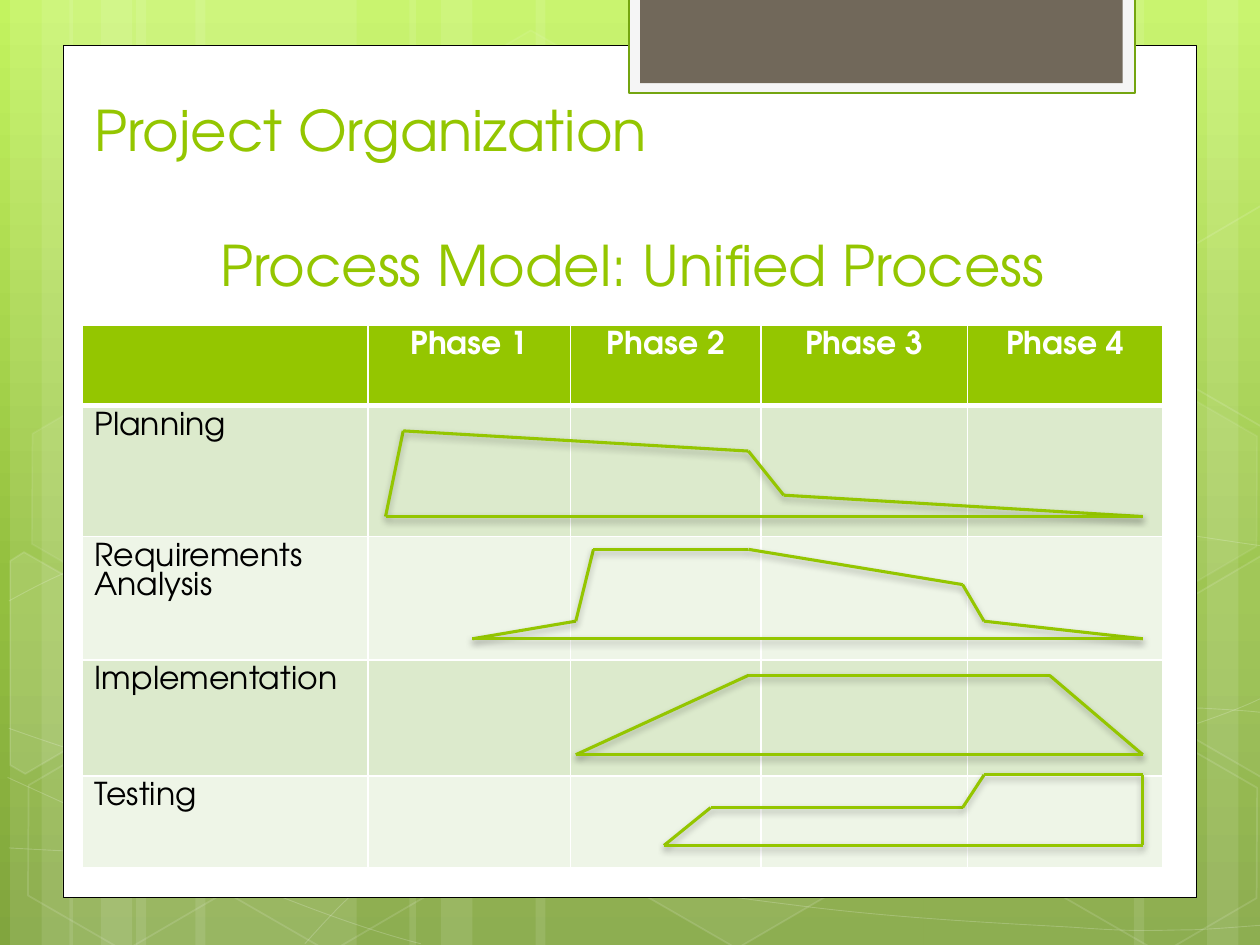
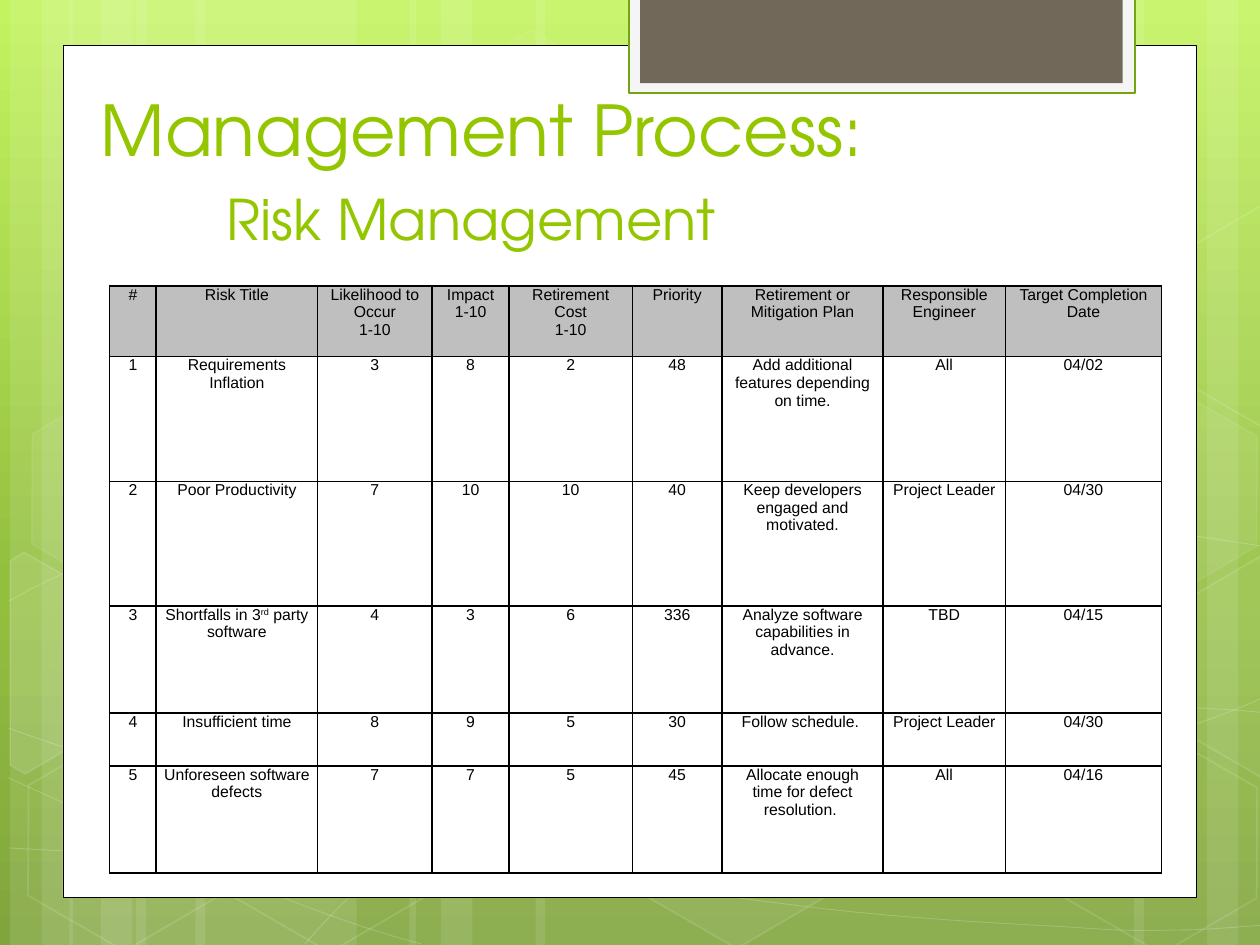
from pptx import Presentation
from pptx import util as u
from pptx.dml.color import RGBColor
from pptx.enum import shapes, text
from pptx.oxml import parse_xml
from pptx.oxml.ns import nsdecls, qn
from copy import deepcopy
from lxml import etree
import math

# Shared look
WHITE = RGBColor(0xFF, 0xFF, 0xFF)
BLACK = RGBColor(0, 0, 0)
LIME = RGBColor(0x94, 0xC6, 0x00)
TAB_EDGE = RGBColor(0x74, 0xA5, 0x10)
TAB_RIM = RGBColor(0xF5, 0xF5, 0xF5)
TAB_FILL = RGBColor(0x71, 0x68, 0x5A)
ROW_DARK = RGBColor(0xDC, 0xEA, 0xCC)
ROW_LIGHT = RGBColor(0xEE, 0xF5, 0xE7)
GREY = RGBColor(0xBF, 0xBF, 0xBF)
SKY = [(0, RGBColor(0xC3, 0xF3, 0x5F)), (0.62, RGBColor(0x93, 0xBF, 0x3F)),
       (1, RGBColor(0x81, 0xA5, 0x3E))]
DISPLAY = "TeX Gyre Adventor"
CENTER = text.PP_ALIGN.CENTER
TILT = 30

# Backdrop: (left, width) of the stripes
STRIPES = [(1.08, 1.75), (0.08, 0.5), (0.33, 0.83), (1.55, 1.75), (0.55, 0.5),
           (0.8, 0.83), (7.33, 1.75), (9.58, 0.5), (9, 0.83), (4.25, 3.08),
           (3.25, 0.5), (3.5, 0.83)]
# Cubic curves: a start, then two handles and an end for each piece
CURVES = [
    [(0.07, 6.73), (0.61, 6.76), (1.15, 6.79), (1.9, 6.78), (2.65, 6.77),
     (3.58, 6.75), (4.58, 6.65), (5.58, 6.55), (7, 6.36), (7.92, 6.17),
     (8.83, 5.98), (9.77, 5.68), (10.07, 5.51)],
    [(0.07, 4.77), (0.36, 4.61), (0.65, 4.46), (1.21, 4.31), (1.78, 4.16),
     (2.59, 3.94), (3.47, 3.87), (4.36, 3.8), (5.44, 3.79), (6.54, 3.87),
     (7.64, 3.95), (9.47, 4.26), (10.07, 4.34)],
    [(0.06, 6.17), (1.27, 6.72), (2.47, 7.27), (3.34, 7.49)],
    [(0.07, 5.78), (0.38, 5.89), (0.7, 6), (1.28, 6.16), (1.86, 6.31),
     (2.73, 6.56), (3.57, 6.73), (4.4, 6.9), (5.45, 7.08), (6.28, 7.18),
     (7.11, 7.29), (8, 7.33), (8.53, 7.36), (9.05, 7.4), (9.19, 7.38),
     (9.45, 7.38), (9.71, 7.37), (9.89, 7.35), (10.07, 7.34)],
    [(2.42, 7.49), (2.6, 7.29), (2.78, 7.09), (3.02, 6.91), (3.26, 6.73),
     (3.6, 6.53), (3.88, 6.39), (4.16, 6.25), (4.33, 6.19), (4.7, 6.09),
     (5.06, 5.99), (5.73, 5.85), (6.08, 5.78), (6.44, 5.71), (6.49, 5.71),
     (6.8, 5.69), (7.11, 5.66), (7.6, 5.63), (7.94, 5.62), (8.29, 5.61),
     (8.86, 5.62), (8.86, 5.62), (9.08, 5.62), (9.31, 5.62), (9.53, 5.62),
     (9.71, 5.63), (9.88, 5.64), (9.97, 5.65), (10.06, 5.66), (10.03, 5.65),
     (10.06, 5.66)],
]
# Hexagons: left, top, fill opacity, line opacity
HEXAGONS = [(3.34, 0.36, 4, 8), (4.97, 5.89, 6, 12), (0.11, 5.91, 0, 12),
            (0.14, 3.12, 7, 8), (1.74, 5.92, 0, 12), (7.53, 4.53, 10, 12),
            (8.34, 5.93, 0, 12), (8.34, 3.14, 7, 8)]
# Hexagons cut by the slide edge: fill opacity, centre, outline as seen
CUT_HEXAGONS = [
    (10, (0.36, 5.35), [(0.08, 4.45), (0.19, 4.38), (0.96, 4.82), (0.95, 5.7),
                        (0.2, 6.14), (0.08, 6.07)]),
    (4, (9.85, 5.2), [(9.26, 4.85), (10.01, 4.41), (10.09, 4.46), (10.09, 6.13),
                      (10.02, 6.17), (9.26, 5.73)]),
    (0, (9.85, 2.41), [(9.26, 2.07), (10.01, 1.63), (10.1, 1.68), (10.09, 3.35),
                       (10.02, 3.39), (9.26, 2.95)]),
]

# Slide contents
PHASE_ROWS = [["", "Phase 1", "Phase 2", "Phase 3", "Phase 4"]] + [
    [name, "", "", "", ""] for name in
    ("Planning", "Requirements Analysis", "Implementation", "Testing")]
EFFORT_PROFILES = [
    [(3.06, 4.1), (3.2, 3.42), (5.94, 3.58), (6.22, 3.93), (9.07, 4.1)],
    [(3.75, 5.07), (4.57, 4.93), (4.71, 4.36), (5.94, 4.36), (7.64, 4.64),
     (7.81, 4.93), (9.07, 5.07)],
    [(4.57, 5.99), (5.94, 5.36), (8.33, 5.36), (9.07, 5.99)],
    [(5.27, 6.71), (5.64, 6.41), (7.64, 6.41), (7.81, 6.15), (9.07, 6.15),
     (9.07, 6.71)],
]
# A newline starts a paragraph; carets enclose a superscript
RISK_ROWS = [
    ["#", "Risk Title", "Likelihood to Occur\n1-10", "Impact\n1-10",
     "Retirement Cost\n1-10", "Priority", "Retirement or Mitigation Plan",
     "Responsible Engineer", "Target Completion Date"],
    ["1", "Requirements Inflation", "3", "8", "2", "48",
     "Add additional features depending on time.", "All", "04/02"],
    ["2", "Poor Productivity", "7", "10", "10", "40",
     "Keep developers engaged and motivated.", "Project Leader", "04/30"],
    ["3", "Shortfalls in 3^rd^ party software", "4", "3", "6", "336",
     "Analyze software capabilities in advance.", "TBD", "04/15"],
    ["4", "Insufficient time", "8", "9", "5", "30", "Follow schedule. ",
     "Project Leader", "04/30"],
    ["5", "Unforeseen software defects", "7", "7", "5", "45",
     "Allocate enough time for defect resolution. ", "All", "04/16"],
]


def apply(target, values):
    for name, value in values.items():
        setattr(target, name, value)


def set_font(run, color, **values):
    apply(run.font, values)
    run.font.color.rgb = color


def paint(shape, fill=None, opacity=100, line=None, width=1, line_opacity=100):
    """Flat fill and outline, either of them see-through or absent."""
    shape.shadow.inherit = False
    for part, parent, color, alpha in ((shape.fill, "p:spPr", fill, opacity),
                                       (shape.line.fill, "a:ln", line, line_opacity)):
        if color is None or alpha == 0:
            part.background()
            continue
        part.solid()
        part.fore_color.rgb = color
        if alpha < 100:
            node = shape.element.xpath(f".//{parent}/a:solidFill/a:srgbClr")[0]
            etree.SubElement(node, qn("a:alpha")).set("val", str(alpha * 1000))
    if line is not None:
        shape.line.width = u.Pt(width)


def add_box(slide, box, kind=shapes.MSO_SHAPE.RECTANGLE, **look):
    shape = slide.shapes.add_shape(kind, *map(u.Inches, box))
    paint(shape, **look)
    return shape


def add_outline(slide, points, close, **look):
    points = [(u.Inches(x), u.Inches(y)) for x, y in points]
    builder = slide.shapes.build_freeform(*points[0])
    builder.add_line_segments(points[1:], close=close)
    shape = builder.convert_to_shape()
    paint(shape, **look)
    return shape


def add_curve(slide, points, **look):
    """Outline whose points are gathered by threes into cubic pieces."""
    shape = add_outline(slide, points, False, **look)
    steps = shape.element.xpath(".//a:lnTo")
    for first in range(0, len(steps), 3):
        piece = etree.SubElement(steps[first].getparent(), qn("a:cubicBezTo"))
        for step in steps[first:first + 3]:
            piece.append(step[0])
            step.getparent().remove(step)


def untilt(point, centre):
    """Turn a point back by the tilt, around the centre."""
    angle = math.radians(-TILT)
    dx, dy = point[0] - centre[0], point[1] - centre[1]
    return (centre[0] + dx * math.cos(angle) - dy * math.sin(angle),
            centre[1] + dx * math.sin(angle) + dy * math.cos(angle))


def set_background(layout):
    fill = layout.background.fill
    fill.gradient()
    fill.gradient_angle = 270
    stop_list = layout.element.xpath(".//p:bg//a:gsLst")[0]
    stop_list.append(deepcopy(stop_list[-1]))
    for stop, (position, color) in zip(fill.gradient_stops, SKY):
        stop.position = position
        stop.color.rgb = color


def build_backdrop(slide, layout):
    """Draw the shared decoration, then hand it to the layout."""
    set_background(layout)
    for left, width in STRIPES:
        add_box(slide, (left, 0, width, 7.5), fill=WHITE, opacity=10)
    for points in CURVES:
        add_curve(slide, points, line=WHITE, width=0.5, line_opacity=20)
    for left, top, opacity, line_opacity in HEXAGONS:
        hexagon = add_box(slide, (left, top, 1.75, 1.52), shapes.MSO_SHAPE.HEXAGON,
                          fill=WHITE, opacity=opacity, line=WHITE,
                          line_opacity=line_opacity)
        hexagon.rotation = TILT
        hexagon.adjustments[0] = 0.285
    for opacity, centre, points in CUT_HEXAGONS:
        outline = [untilt(point, centre) for point in points]
        add_outline(slide, outline, True, fill=WHITE, opacity=opacity, line=WHITE,
                    line_opacity=12).rotation = TILT
    # White page and the tab hanging over its top edge
    add_box(slide, (0.5, 0.36, 9, 6.76), fill=WHITE, line=BLACK, width=0.5)
    add_box(slide, (4.99, -0.02, 4.02, 0.76), fill=TAB_RIM, line=TAB_EDGE, width=1.25)
    add_box(slide, (5.08, -0.02, 3.83, 0.68), fill=TAB_FILL)
    decoration = [shape for shape in slide.shapes if not shape.is_placeholder]
    for number, shape in enumerate(decoration, start=100):
        shape.element.xpath(".//p:cNvPr")[0].set("id", str(number))
        layout.shapes.element.append(shape.element)


def set_title(slide, box, lines, gap):
    """Two-line title; the second line is indented by an inch."""
    title = slide.shapes.title
    apply(title, dict(zip(("left", "top", "width", "height"), map(u.Inches, box))))
    frame = title.text_frame
    apply(frame, {"word_wrap": True, "auto_size": text.MSO_AUTO_SIZE.NONE,
                  "vertical_anchor": text.MSO_ANCHOR.BOTTOM})
    for index, (words, size) in enumerate(lines):
        paragraph = frame.add_paragraph() if index else frame.paragraphs[0]
        paragraph.alignment = text.PP_ALIGN.LEFT
        run = paragraph.add_run()
        run.text = words
        set_font(run, LIME, name=DISPLAY, size=u.Pt(size))
    paragraph.space_before = u.Pt(gap)
    paragraph._p.get_or_add_pPr().set("marL", str(u.Inches(1)))


def set_borders(cell, color, bottom=1):
    properties = cell._tc.get_or_add_tcPr()
    for index, (side, width) in enumerate(zip("LRTB", (1, 1, 1, bottom))):
        properties.insert(index, parse_xml(
            f'<a:ln{side} {nsdecls("a")} w="{u.Pt(width)}"><a:solidFill>'
            f'<a:srgbClr val="{color}"/></a:solidFill></a:ln{side}>'))


def write_cell(cell, words, color, alignment, font):
    for index, line in enumerate(words.split("\n") if words else []):
        frame = cell.text_frame
        paragraph = frame.add_paragraph() if index else frame.paragraphs[0]
        paragraph.alignment = alignment
        for part, piece in enumerate(line.split("^")):
            run = paragraph.add_run()
            run.text = piece
            set_font(run, color, **font)
            if part % 2:
                run.font._element.set("baseline", "30000")


def add_grid(slide, corner, columns, heights, rows, style):
    """Table whose style(row) gives the look of the cells in a row."""
    box = (*corner, sum(columns), sum(heights))
    table = slide.shapes.add_table(len(rows), len(columns), *map(u.Inches, box)).table
    table.horz_banding = False
    for column, width in zip(table.columns, columns):
        column.width = u.Inches(width)
    for row, height in zip(table.rows, heights):
        row.height = u.Inches(height)
    for r, row in enumerate(rows):
        look = style(r)
        for c, words in enumerate(row):
            cell = table.cell(r, c)
            apply(cell, look["margins"])
            if look["fill"] is None:
                cell.fill.background()
            else:
                cell.fill.solid()
                cell.fill.fore_color.rgb = look["fill"]
            set_borders(cell, *look["border"])
            write_cell(cell, words, *look["text"])


def phase_style(row):
    head = row == 0
    return {"fill": LIME if head else (ROW_DARK if row % 2 else ROW_LIGHT),
            "border": (WHITE, 3 if head else 1), "margins": {},
            "text": (WHITE if head else BLACK, CENTER if head else text.PP_ALIGN.LEFT,
                     {"name": DISPLAY, "size": u.Pt(18), "bold": head})}


def risk_style(row):
    side = u.Pt(4.5)
    return {"fill": None if row else GREY, "border": (BLACK,),
            "margins": {"margin_left": side, "margin_right": side,
                        "margin_top": 0, "margin_bottom": 0},
            "text": (BLACK, CENTER, {"name": "Arial", "size": u.Pt(9), "bold": False})}


def add_profile(slide, points):
    """Closed chain of shadowed lines."""
    for start, end in zip(points, points[1:] + points[:1]):
        line = slide.shapes.add_connector(shapes.MSO_CONNECTOR.STRAIGHT,
                                          *map(u.Inches, start + end))
        line.line.color.rgb = LIME
        line.line.width = u.Pt(1.75)
        line.element.spPr.append(parse_xml(
            f'<a:effectLst {nsdecls("a")}><a:outerShdw blurRad="{u.Pt(4)}" '
            f'dist="{u.Pt(2)}" dir="5400000" rotWithShape="0"><a:srgbClr val="000000">'
            '<a:alpha val="28000"/></a:srgbClr></a:outerShdw></a:effectLst>'))


def main():
    presentation = Presentation()
    presentation.slide_width, presentation.slide_height = u.Inches(10), u.Inches(7.5)
    layout = presentation.slide_layouts[5]

    # Process model
    slide = presentation.slides.add_slide(layout)
    build_backdrop(slide, layout)
    set_title(slide, (0.65, 0.66, 8.77, 1.75), [
        ("Project Organization", 32), ("Process Model: Unified Process", 32)], 38.5)
    add_grid(slide, (0.65, 2.58), [2.27, 1.61, 1.51, 1.64, 1.55],
             [0.64, 1.04, 0.98, 0.92, 0.73], PHASE_ROWS, phase_style)
    for points in EFFORT_PROFILES:
        add_profile(slide, points)

    # Risk management
    slide = presentation.slides.add_slide(layout)
    set_title(slide, (0.7, 0.5, 7.68, 1.55), [
        ("Management Process:", 40), ("Risk Management", 32)], 8)
    add_grid(slide, (0.87, 2.27), [0.37, 1.28, 0.91, 0.61, 0.98, 0.71, 1.28, 0.97, 1.24],
             [0.56, 0.99, 0.99, 0.85, 0.42, 0.85], RISK_ROWS, risk_style)

    presentation.save("out.pptx")


main()
